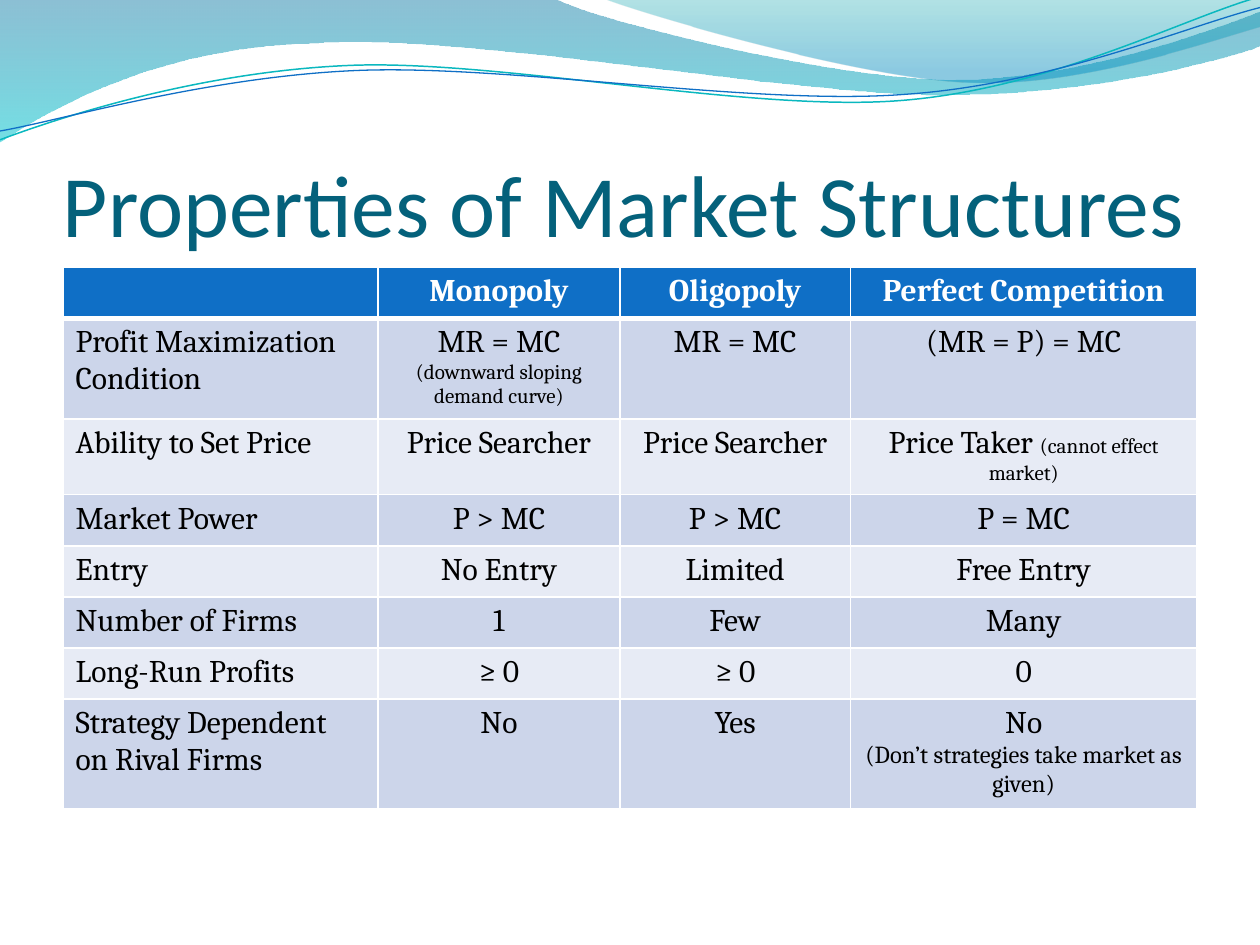
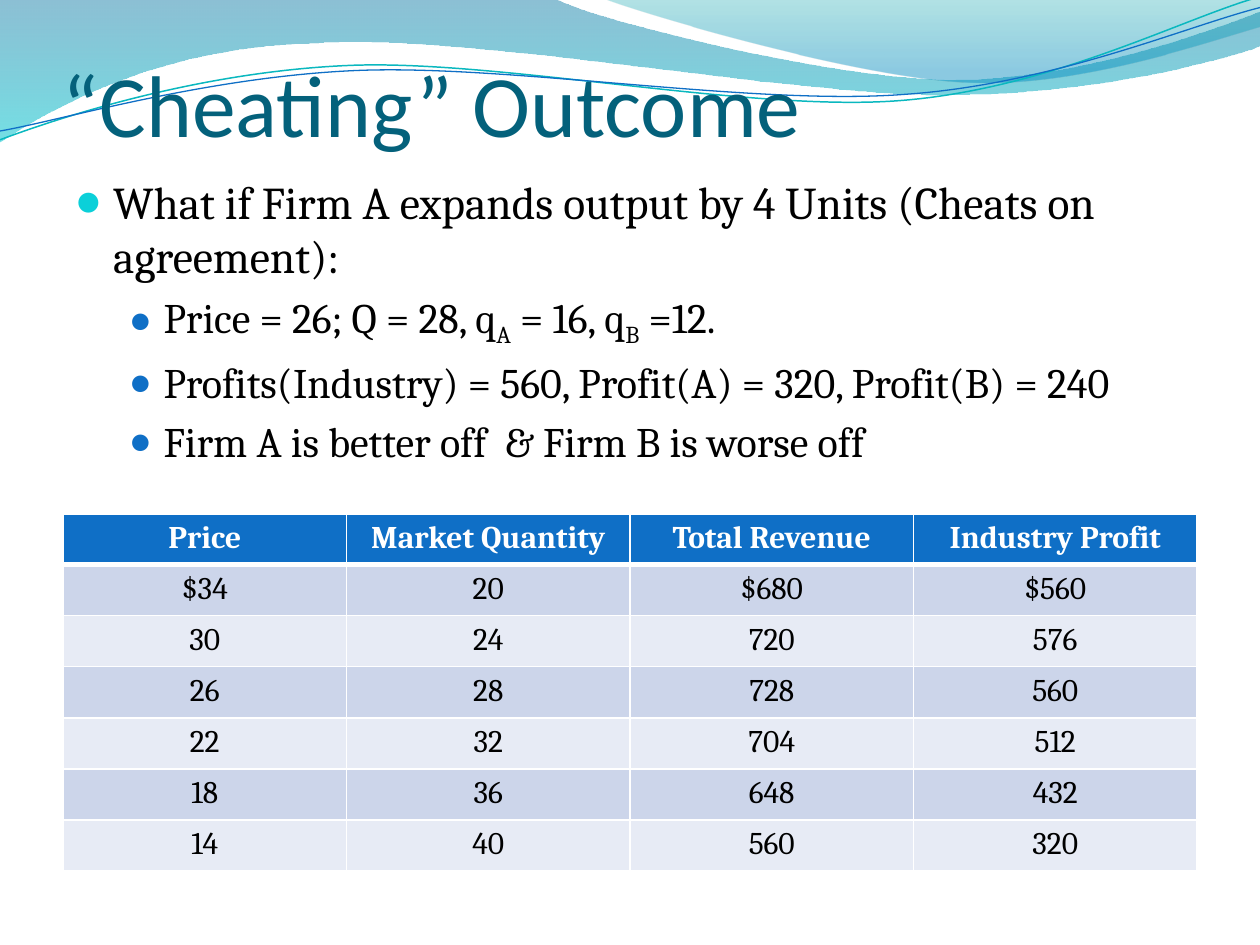
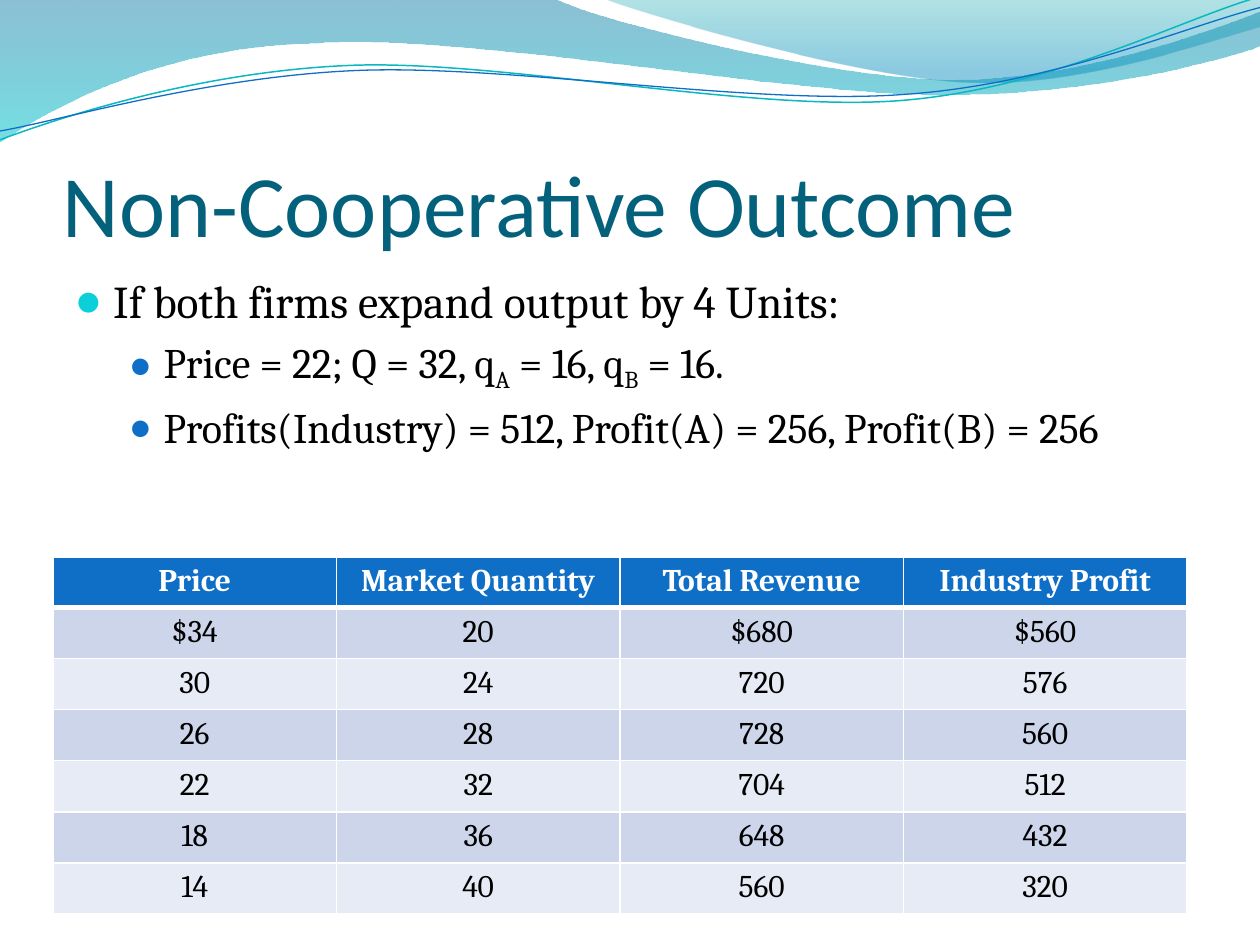
"""Build three slides on market structures and cartel outcomes."""
from lxml import etree
from pptx import Presentation
from pptx.dml.color import RGBColor
from pptx.enum.text import MSO_ANCHOR, PP_ALIGN
from pptx.oxml.ns import qn
from pptx.util import Inches, Pt

LEFT, CENTER = PP_ALIGN.LEFT, PP_ALIGN.CENTER
BOTTOM = MSO_ANCHOR.BOTTOM

COLORS = {
    "title": "04617B", "text": "000000", "white": "FFFFFF",
    "header": "0F6FC6", "odd_row": "CCD5EA", "even_row": "E7EBF5",
    "bullet": "0BD0D9", "sub_bullet": "0F6FC6",
    "teal_line": "0AB8BF", "blue_line": "0F6FC6",
    "band_top": "0074A1", "band_bottom": "00C6CF",
    "crest_top": "00A1A9", "crest_bottom": "008BBF",
}
TITLE_FONT, BODY_FONT = "Calibri", "Cambria"
ROW_HEIGHT = 2.84 / 7

BAND = [(0, 0), (4.4, -0.01),
        (4.76, 0.17, 6.64, 0.63, 7.58, 0.63), (8.53, 0.63, 9.58, 0.26, 10, 0.09),
        (10.01, 0.36),
        (9.83, 0.44, 8.7, 0.76, 7.46, 0.75), (6.22, 0.75, 3.82, 0.28, 2.57, 0.34),
        (1.29, 0.36, 0.46, 0.83, -0.01, 1.13), (0, 0)]
CREST = [(4.79, -0.01),
         (5.09, 0.11, 6.82, 0.62, 7.69, 0.65), (8.56, 0.69, 9.61, 0.32, 10, 0.21),
         (10, 0), (4.79, -0.01)]
TEAL_WAVE = [(0, 1.11), (0.48, 0.93, 1.58, 0.57, 2.77, 0.52),
             (3.95, 0.47, 5.93, 0.89, 7.13, 0.8), (8.33, 0.71, 9.38, 0.15, 9.98, -0.02)]
BLUE_WAVE = [(0, 1.04), (0.47, 0.96, 1.64, 0.61, 2.83, 0.56),
             (4.03, 0.51, 5.97, 0.84, 7.17, 0.75), (8.36, 0.67, 9.41, 0.21, 10, 0.06)]

TITLE_BOX = (0.5, 0.77, 9, 1.25)
STRUCTURE_ROWS = [
    ["", "Monopoly", "Oligopoly", "Perfect Competition"],
    ["Profit Maximization Condition",
     [[("MR = MC ", {}), ("(downward sloping demand curve)", {"size": 12})]],
     "MR = MC", "(MR = P) = MC"],
    ["Ability to Set Price", "Price Searcher", "Price Searcher",
     [[("Price Taker ", {}), ("(cannot effect market)", {"size": 12})]]],
    ["Market Power", "P > MC", "P > MC", "P = MC"],
    ["Entry", "No Entry", "Limited", "Free Entry"],
    ["Number of Firms", "1", "Few", "Many"],
    ["Long-Run Profits", "≥ 0", "≥ 0", "0"],
    ["Strategy Dependent on Rival Firms", "No", "Yes",
     [[("No", {})], [("(Don’t strategies take market as given)", {"size": 14})]]],
]
PROFIT_ROWS = [
    ["Price", "Market Quantity", "Total Revenue", "Industry Profit"],
    ["$34", "20", "$680", "$560"],
    ["30", "24", "720", "576"],
    ["26", "28", "728", "560"],
    ["22", "32", "704", "512"],
    ["18", "36", "648", "432"],
    ["14", "40", "560", "320"],
]
CHEATING_POINTS = [
    (0, "What if Firm A expands output by 4 Units (Cheats on agreement):"),
    (1, "Price = 26; Q = 28, q|A| = 16, q|B| =12."),
    (1, "Profits(Industry) = 560, Profit(A) = 320, Profit(B) = 240"),
    (1, "Firm A is better off  & Firm B is worse off"),
]
NON_COOPERATIVE_POINTS = [
    (0, "If both firms expand output by 4 Units:"),
    (1, "Price = 22; Q = 32, q|A| = 16, q|B| = 16."),
    (1, "Profits(Industry) = 512, Profit(A) = 256, Profit(B) = 256"),
]
LEVELS = [
    {"size": 26, "margin": 0.3, "hang": 0.3, "color": "bullet", "percent": 95},
    {"size": 24, "margin": 0.7, "hang": 0.27, "color": "sub_bullet", "percent": 85},
]


def rgb(name):
    """Return the named palette colour."""
    return RGBColor.from_string(COLORS[name])


def add_child(parent, tag, **attributes):
    """Append a DrawingML element to parent."""
    values = {key: str(value) for key, value in attributes.items()}
    return etree.SubElement(parent, qn(tag), values)


def add_text(paragraph, text, *, size=18, font=BODY_FONT, color="text", bold=False, subscript=False):
    """Add one formatted run to a paragraph."""
    run = paragraph.add_run()
    run.text = text
    run.font.size = Pt(size)
    run.font.name = font
    run.font.bold = bold
    run.font.color.rgb = rgb(color)
    if subscript:
        run.font._element.set("baseline", "-25000")


def add_text_frame(slide, box):
    """Add a wrapping text box and return its frame."""
    frame = slide.shapes.add_textbox(*map(Inches, box)).text_frame
    frame.word_wrap = True
    return frame


def add_outline(slide, segments, close):
    """Draw a freeform whose six-number segments are cubic curves."""
    points = [(Inches(segment[i]), Inches(segment[i + 1]))
              for segment in segments for i in range(0, len(segment), 2)]
    builder = slide.shapes.build_freeform(*points[0])
    builder.add_line_segments(points[1:], close=close)
    outline = builder.convert_to_shape()
    outline.shadow.inherit = False
    steps = iter(list(outline._element.iter(qn("a:lnTo"))))
    for segment in segments[1:]:
        corners = [next(steps) for _ in range(len(segment) // 2)]
        if len(corners) == 3:
            curve = etree.Element(qn("a:cubicBezTo"))
            corners[0].addprevious(curve)
            for corner in corners:
                curve.append(corner[0])
                corner.getparent().remove(corner)
    return outline


def add_wave_fill(slide, segments, stops):
    """Draw a closed wave with a translucent vertical gradient."""
    wave = add_outline(slide, segments, True)
    wave.line.fill.background()
    wave.fill.gradient()
    wave.fill.gradient_angle = 270
    for stop, (position, color, alpha) in zip(wave.fill.gradient_stops, stops):
        stop.position = position
        stop.color.rgb = rgb(color)
        add_child(stop._gs[0], "a:alpha", val=alpha * 1000)


def add_wave_line(slide, segments, color, width):
    """Draw an open wave line."""
    wave = add_outline(slide, segments, False)
    wave.fill.background()
    wave.line.color.rgb = rgb(color)
    wave.line.width = Pt(width)


def add_waves(slide):
    """Draw the wave decoration shared by all slides."""
    add_wave_fill(slide, BAND, [(0, "band_top", 45), (1, "band_bottom", 55)])
    add_wave_fill(slide, CREST, [(0, "crest_top", 30), (0.8, "crest_bottom", 45)])
    add_wave_line(slide, TEAL_WAVE, "teal_line", 0.85)
    add_wave_line(slide, BLUE_WAVE, "blue_line", 0.75)


def add_title(slide, title, box):
    """Add the slide title at the bottom of its box."""
    frame = add_text_frame(slide, box)
    frame.vertical_anchor = BOTTOM
    frame.margin_left = frame.margin_right = frame.margin_bottom = 0
    frame.margin_top = Inches(0.05)
    add_text(frame.paragraphs[0], title, size=50, font=TITLE_FONT, color="title")


def add_points(slide, points, box):
    """Add bulleted points, with subscripts between bars."""
    frame = add_text_frame(slide, box)
    for index, (level, text) in enumerate(points):
        paragraph = frame.add_paragraph() if index else frame.paragraphs[0]
        style = LEVELS[level]
        paragraph.level = level
        properties = paragraph._p.get_or_add_pPr()
        properties.set("marL", str(Inches(style["margin"])))
        properties.set("indent", str(-Inches(style["hang"])))
        add_child(add_child(properties, "a:spcBef"), "a:spcPct", val=20000)
        add_child(add_child(properties, "a:buClr"), "a:srgbClr", val=COLORS[style["color"]])
        add_child(properties, "a:buSzPct", val=style["percent"] * 1000)
        add_child(properties, "a:buFont", typeface=TITLE_FONT)
        add_child(properties, "a:buChar", char="●")
        for part, piece in enumerate(text.split("|")):
            add_text(paragraph, piece, size=style["size"], subscript=part % 2 == 1)


def style_cell(cell, row):
    """Give a cell its white borders and its row fill."""
    widths = {"L": 1, "R": 1, "T": 3 if row == 1 else 1, "B": 3 if row == 0 else 1}
    properties = cell._tc.get_or_add_tcPr()
    for side, width in widths.items():
        border = add_child(properties, f"a:ln{side}", w=Pt(width))
        add_child(add_child(border, "a:solidFill"), "a:srgbClr", val=COLORS["white"])
    cell.fill.solid()
    cell.fill.fore_color.rgb = rgb("header" if row == 0 else "odd_row" if row % 2 else "even_row")


def add_grid(slide, rows, corner, column_widths, header_height, label_column=False):
    """Add a banded table with a header row at the corner given."""
    size = (sum(column_widths), header_height + ROW_HEIGHT * (len(rows) - 1))
    grid = slide.shapes.add_table(len(rows), len(column_widths), *map(Inches, corner + size)).table
    for column, width in zip(grid.columns, column_widths):
        column.width = Inches(width)
    for row, values in enumerate(rows):
        grid.rows[row].height = Inches(ROW_HEIGHT if row else header_height)
        header = {"color": "white", "bold": True} if row == 0 else {}
        for column, value in enumerate(values):
            cell = grid.cell(row, column)
            style_cell(cell, row)
            lines = [[(value, {})]] if isinstance(value, str) else value
            for index, runs in enumerate(lines):
                paragraph = cell.text_frame.add_paragraph() if index else cell.text_frame.paragraphs[0]
                paragraph.alignment = LEFT if label_column and column == 0 else CENTER
                for text, style in runs:
                    if text:
                        add_text(paragraph, text, **header, **style)


def add_base_slide(deck, title, title_box=TITLE_BOX):
    """Add a slide with the shared waves and a title."""
    slide = deck.slides.add_slide(deck.slide_layouts[6])
    add_waves(slide)
    add_title(slide, title, title_box)
    return slide


def add_structures_slide(deck):
    """Add the comparison of market structures."""
    slide = add_base_slide(deck, "Properties of Market Structures")
    add_grid(slide, STRUCTURE_ROWS, (0.5, 2.12), [2.5, 1.92, 1.83, 2.75], ROW_HEIGHT, label_column=True)


def add_outcome_slide(deck, title, points, title_box, points_box, table_corner):
    """Add an outcome slide with points above the profit table."""
    slide = add_base_slide(deck, title, title_box)
    add_points(slide, points, points_box)
    add_grid(slide, PROFIT_ROWS, table_corner, [2.25] * len(PROFIT_ROWS[0]), 0.32)


def main():
    """Build and save the deck."""
    deck = Presentation()
    deck.slide_width, deck.slide_height = Inches(10), Inches(7.5)
    add_structures_slide(deck)
    add_outcome_slide(deck, "“Cheating” Outcome", CHEATING_POINTS,
                      (0.5, -0.02, 9, 1.25), (0.5, 1.33, 9, 4.8), (0.5, 4.08))
    add_outcome_slide(deck, "Non-Cooperative Outcome", NON_COOPERATIVE_POINTS,
                      TITLE_BOX, (0.5, 2.12, 9, 4.8), (0.42, 4.42))
    deck.save("out.pptx")


if __name__ == "__main__":
    main()
